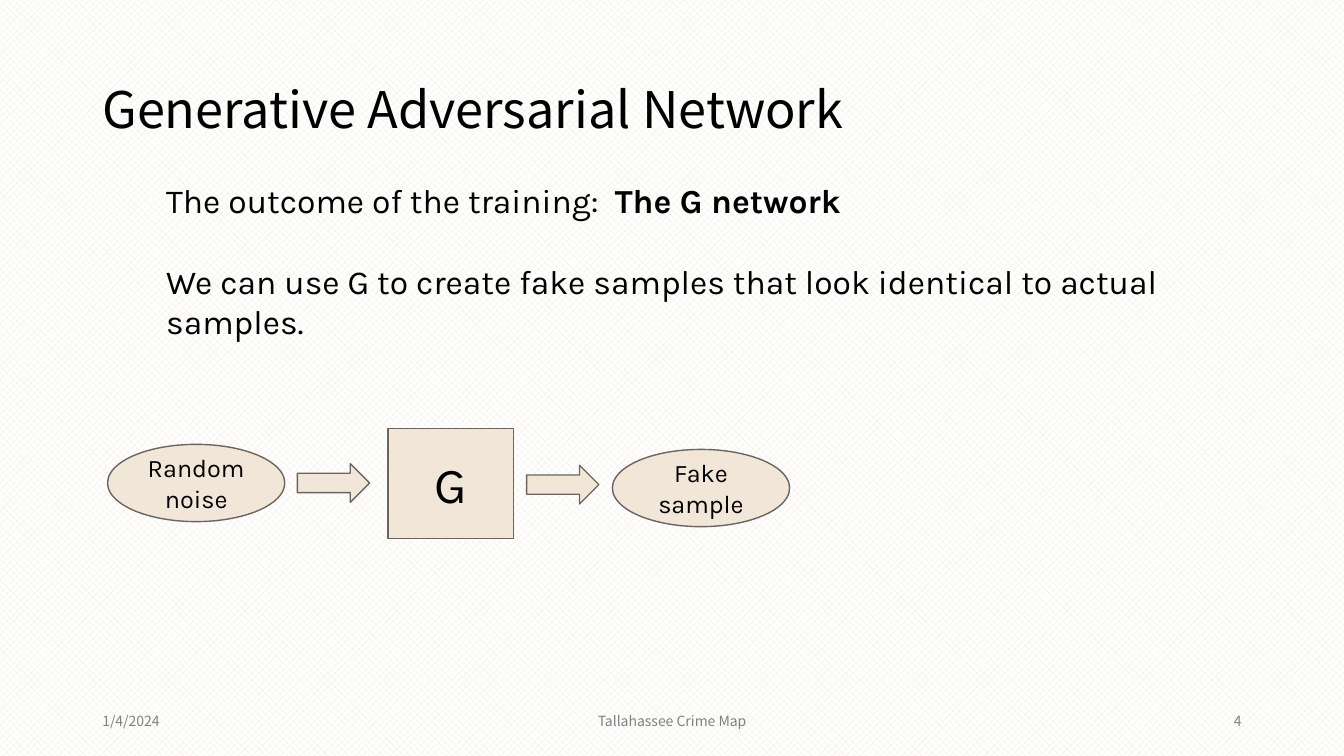
from pptx import Presentation
from pptx import util as u
from pptx.dml.color import RGBColor
from pptx.enum import dml, shapes, text

COLORS = {"sand": "F2E6D8", "white": "FFFFFF", "edge": "6A655F",
          "ink": "000000", "muted": "808080"}
HEAD, BODY = "Noto Sans CJK JP", "Karla"
LEFT, CENTER, RIGHT = text.PP_ALIGN.LEFT, text.PP_ALIGN.CENTER, text.PP_ALIGN.RIGHT
MIDDLE, TOP = text.MSO_ANCHOR.MIDDLE, text.MSO_ANCHOR.TOP
KIND = shapes.MSO_SHAPE


class Deck:
    """Draw styled elements on a slide grid of 160 columns by 90 rows."""

    def __init__(self):
        self.prs = Presentation()
        self.prs.slide_width, self.prs.slide_height = u.Inches(13.33), u.Inches(7.5)
        self.col, self.row = self.prs.slide_width / 160, self.prs.slide_height / 90
        self.s = self.prs.slides.add_slide(self.prs.slide_layouts[6])

    def color(self, name):
        return RGBColor.from_string(COLORS[name])

    def box(self, x, y, w, h):
        return (round(x * self.col), round(y * self.row),
                round(w * self.col), round(h * self.row))

    def background(self):
        fill = self.s.background.fill
        fill.patterned()
        fill.pattern = dml.MSO_PATTERN.PERCENT_50
        fill.fore_color.rgb = self.color("sand")
        fill.back_color.rgb = self.color("white")

    def add_text(self, sp, paragraphs, size, font, color="ink", align=LEFT,
                 anchor=MIDDLE, spacing=None, gap=0):
        tf = sp.text_frame
        tf.word_wrap, tf.vertical_anchor = True, anchor
        for i, runs in enumerate(paragraphs):
            p = tf.add_paragraph() if i else tf.paragraphs[0]
            p.alignment = align
            if spacing:
                p.line_spacing = spacing
            if i and gap:
                p.space_before = u.Pt(gap)
            for words, bold in runs:
                r = p.add_run()
                r.text = words
                r.font.name, r.font.size, r.font.bold = font, u.Pt(size), bold
                r.font.color.rgb = self.color(color)

    def label(self, at, paragraphs, size, font, **style):
        sp = self.s.shapes.add_textbox(*self.box(*at))
        self.add_text(sp, paragraphs, size, font, **style)

    def shape(self, kind, at, words="", size=18):
        sp = self.s.shapes.add_shape(kind, *self.box(*at))
        sp.shadow.inherit = False
        sp.fill.solid()
        sp.fill.fore_color.rgb = self.color("sand")
        sp.line.color.rgb = self.color("edge")
        sp.line.width = u.Pt(1)
        if words:
            self.add_text(sp, [[(words, False)]], size, BODY, align=CENTER)


def main():
    deck = Deck()
    deck.background()
    deck.label((11, 9.2, 138, 8.4), [[("Generative Adversarial Network", False)]],
               36, HEAD, spacing=0.9)
    for x, w, words, align in ((11, 36, "1/4/2024", LEFT),
                               (53, 54, "Tallahassee Crime Map", CENTER),
                               (113, 36, "4", RIGHT)):
        deck.label((x, 83.4, w, 4.8), [[(words, False)]], 10, HEAD,
                   color="muted", align=align)

    deck.shape(KIND.RECTANGLE, (46.2, 51, 14.9, 13.1), "G", 36)
    for x, y, words in ((12.8, 52.9, "Random noise"), (72.9, 53.5, "Fake sample")):
        deck.shape(KIND.OVAL, (x, y, 21.1, 9.2), words)
    for x, y in ((35.4, 55.2), (62.7, 55.4)):
        deck.shape(KIND.RIGHT_ARROW, (x, y, 8.6, 4.6))

    deck.label((18.6, 20.8, 130.3, 15.7), [
        [("The outcome of the training:  ", False), ("The G network", True)],
        [("We can use G to create fake samples that look identical to actual samples.",
          False)],
    ], 24, BODY, anchor=TOP, gap=29)
    deck.prs.save("out.pptx")


if __name__ == "__main__":
    main()
